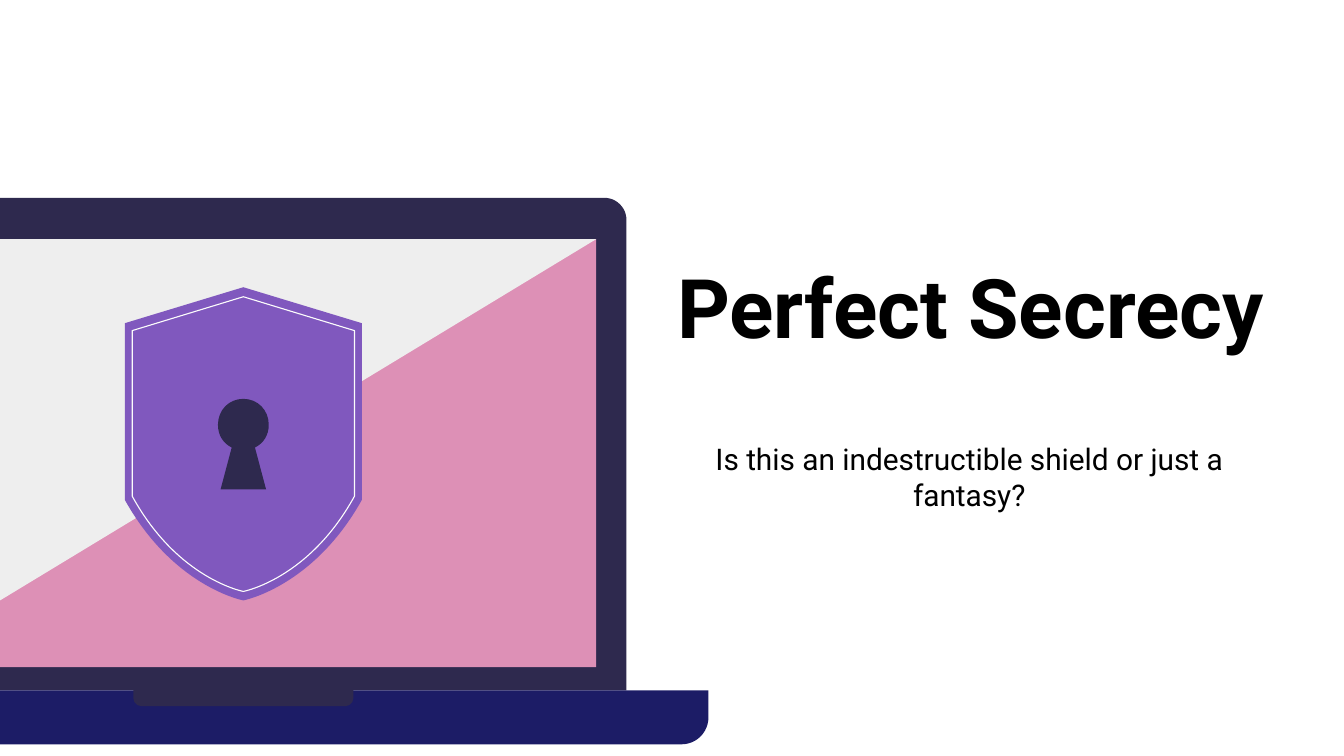
import pptx
import pptx.dml.color
import pptx.enum.shapes
import pptx.enum.text
import pptx.oxml
import pptx.oxml.ns
import pptx.util

Cm = pptx.util.Cm
Pt = pptx.util.Pt
qn = pptx.oxml.ns.qn
ANCHOR = pptx.enum.text.MSO_ANCHOR
SHAPE = pptx.enum.shapes.MSO_SHAPE

COLORS = {
    "frame": "2E294E",
    "screen": "DD90B6",
    "glare": "EEEEEE",
    "base": "1C1C66",
    "shield": "8058BE",
    "outline": "FCFCFC",
    "text": "000000",
}
CENTER_X = 4.6  # axis of the shield and the keyhole


def mirrored(half):
    """Whole outline from the segments of its left half, top to bottom.

    A segment holds one point (line) or three (Bezier curve); each point is
    its distance to the axis and its y.
    """
    ends = [segment[-1] for segment in half]
    back = [segment[-2::-1] + [end]
            for segment, end in zip(half[:0:-1], ends[-2::-1])]
    if ends[-1][0] > 0:
        back.insert(0, [ends[-1]])
    return ([[(CENTER_X - dx, y) for dx, y in segment] for segment in half]
            + [[(CENTER_X + dx, y) for dx, y in segment] for segment in back])


def shield_outline(width, top, shoulder, waist, control, bottom):
    tip = (0, bottom)
    return mirrored([[(0, top)], [(width, shoulder)], [(width, waist)],
                     [control, tip, tip]])


def keyhole_outline():
    side = (0.48, 8.03)
    return mirrored([[(0, 7.54)],
                     [(0.27, 7.54), (0.48, 7.75), side],
                     [(0.48, 8.23), (0.38, 8.38), (0.22, 8.46)],
                     [(0.43, 9.25)]])


class SlideBuilder:
    font = "Roboto"

    def __init__(self, slide):
        self.s = slide

    def color(self, name):
        return pptx.dml.color.RGBColor.from_string(COLORS[name])

    def paint(self, sp, fill=None, line=None):
        sp.shadow.inherit = False
        if fill:
            sp.fill.solid()
            sp.fill.fore_color.rgb = self.color(fill)
        else:
            sp.fill.background()
        if line:
            sp.line.color.rgb = self.color(line)
            sp.line.width = Pt(0.6)
        else:
            sp.line.fill.background()

    def box(self, x, y, w, h, fill, kind=SHAPE.RECTANGLE, rounding=()):
        sp = self.s.shapes.add_shape(kind, Cm(x), Cm(y), Cm(w), Cm(h))
        for i, value in enumerate(rounding):
            sp.adjustments[i] = value
        self.paint(sp, fill)

    def outline(self, segments, fill=None, line=None):
        """Closed freeform; segments of three points become Bezier curves."""
        points = [(Cm(x), Cm(y)) for segment in segments for x, y in segment]
        builder = self.s.shapes.build_freeform(*points[0])
        builder.add_line_segments(points[1:], close=True)
        sp = builder.convert_to_shape()
        steps = iter(list(sp.element.iter(qn("a:lnTo"))))
        for segment in segments[1:]:
            first, *others = [next(steps) for _ in segment]
            if others:
                first.tag = qn("a:cubicBezTo")
                for step in others:
                    first.append(step[0])
                    step.getparent().remove(step)
        self.paint(sp, fill, line)

    def text(self, x, y, w, h, words, size, bold=False, anchor=ANCHOR.TOP):
        sp = self.s.shapes.add_textbox(Cm(x), Cm(y), Cm(w), Cm(h))
        tf = sp.text_frame
        tf.word_wrap = True
        tf.vertical_anchor = anchor
        tf.margin_left = tf.margin_right = Cm(0.25)
        tf.margin_top = tf.margin_bottom = Cm(0.25)
        p = tf.paragraphs[0]
        p.alignment = pptx.enum.text.PP_ALIGN.CENTER
        r = p.add_run()
        r.text = words
        r.font.name = self.font
        r.font.size = Pt(size)
        r.font.bold = bold
        r.font.color.rgb = self.color("text")


def main():
    prs = pptx.Presentation()
    prs.slide_width, prs.slide_height = Cm(25.4), Cm(14.29)
    b = SlideBuilder(prs.slides.add_slide(prs.slide_layouts[6]))

    # Laptop
    rounded = SHAPE.ROUND_2_SAME_RECTANGLE
    b.box(-2.64, 3.74, 14.48, 9.31, "frame", rounded, (0.045, 0))
    b.box(-2.06, 4.52, 13.33, 8.09, "screen")
    b.box(-4.19, 13.05, 17.58, 1.02, "base", rounded, (0, 0.5))
    b.box(2.52, 13.04, 4.16, 0.31, "frame", rounded, (0, 0.5))
    b.outline([[(-2.06, 4.52)], [(-2.06, 12.6)], [(11.27, 4.52)]], "glare")

    # Shield with keyhole
    b.outline(shield_outline(2.24, 5.43, 6.11, 9.45, (1.32, 11.1), 11.35),
              fill="shield")
    b.outline(shield_outline(2.1, 5.61, 6.25, 9.38, (1.24, 10.95), 11.18),
              line="outline")
    b.outline(keyhole_outline(), fill="frame")

    b.text(12.42, 3.01, 11.86, 3.94, "Perfect Secrecy", 44,
           bold=True, anchor=ANCHOR.BOTTOM)
    b.text(13.24, 8.08, 10.16, 2.16,
           "Is this an indestructible shield or just a fantasy?", 16)

    prs.save("out.pptx")


if __name__ == "__main__":
    main()
